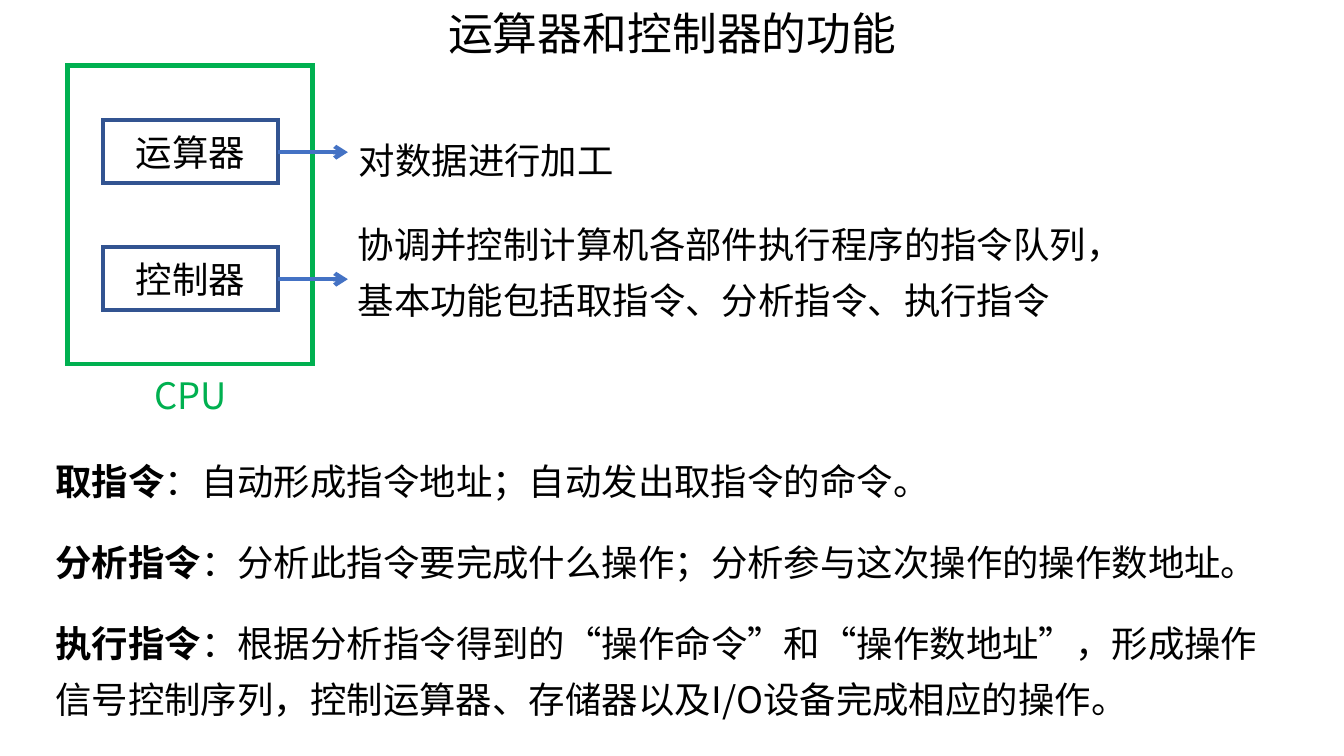
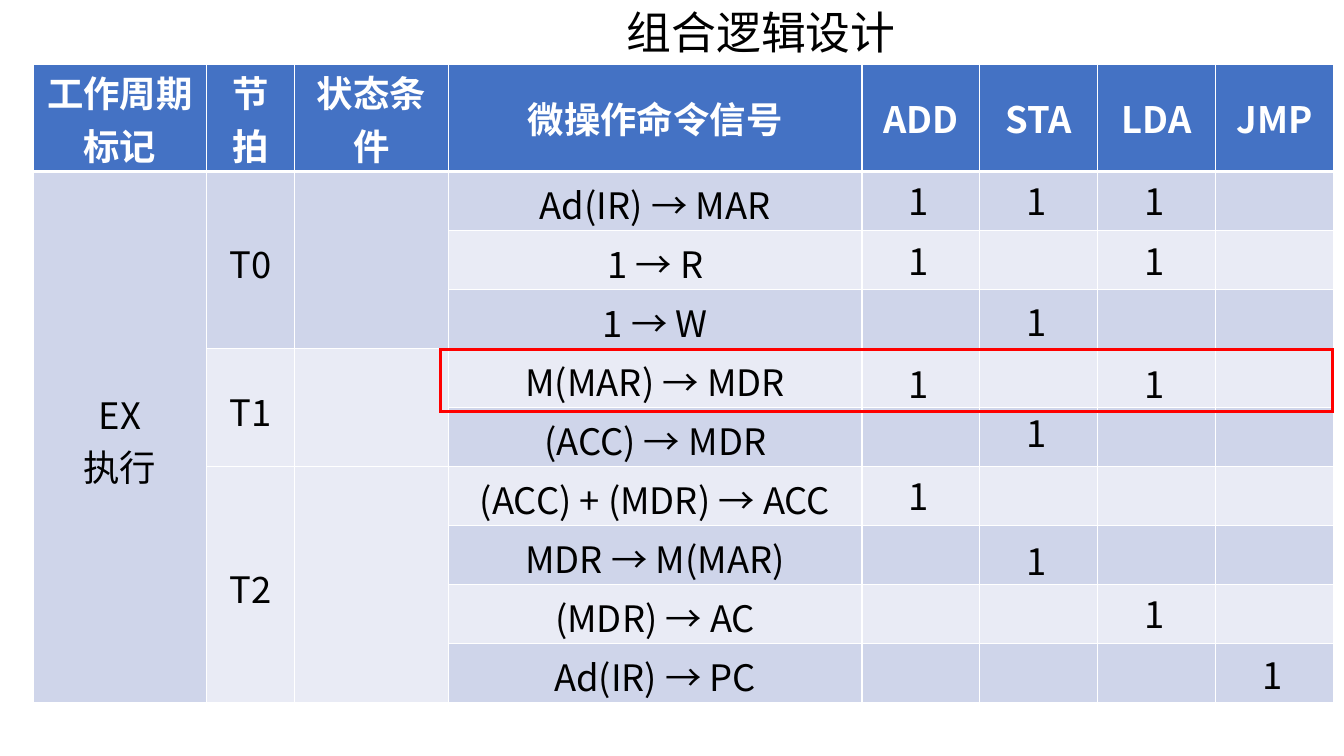
from dataclasses import dataclass
from itertools import accumulate

from lxml import etree
from pptx import Presentation
from pptx.dml.color import RGBColor
from pptx.enum.shapes import MSO_CONNECTOR, MSO_SHAPE
from pptx.enum.text import MSO_ANCHOR, MSO_AUTO_SIZE, PP_ALIGN
from pptx.oxml.ns import qn
from pptx.util import Inches, Length, Pt

LEFT, CENTER = PP_ALIGN.LEFT, PP_ALIGN.CENTER
TOP, MIDDLE = MSO_ANCHOR.TOP, MSO_ANCHOR.MIDDLE
GROW, FIXED = MSO_AUTO_SIZE.SHAPE_TO_FIT_TEXT, MSO_AUTO_SIZE.NONE
RECT, STRAIGHT = MSO_SHAPE.RECTANGLE, MSO_CONNECTOR.STRAIGHT

FONT = "Noto Sans CJK SC"
BLACK, WHITE, RED = "000000", "FFFFFF", "FF0000"
GREEN, NAVY, BLUE = "00B050", "325491", "4472C4"
BANDS = ("E9EBF5", "CFD5EA")
SIZE, LARGE = 26, 32
GRID = 0.1
TITLE_ONLY = 5


@dataclass(frozen=True)
class Area:
    col: float
    row: float
    cols: float
    rows: float

    def lengths(self) -> tuple:
        return tuple(map(cells, (self.col, self.row, self.cols, self.rows)))


@dataclass(frozen=True)
class Label:
    text: str
    area: Area
    color: str = BLACK
    align: int = LEFT
    lead: int = 0
    strong: str = ""


@dataclass(frozen=True)
class Frame:
    area: Area
    color: str
    width: float = 3
    text: str = ""


@dataclass(frozen=True)
class Group:
    col: int
    first: int
    last: int
    text: str = ""


@dataclass(frozen=True)
class Marks:
    row: float
    names: tuple


def cells(count: float) -> Length:
    return Inches(round(count * GRID, 3))


def rgb(code: str) -> RGBColor:
    return RGBColor.from_string(code)


def style(frame, size: float, color: str, align: int, bold: bool = False) -> None:
    for para in frame.paragraphs:
        para.alignment = align
        for run in para.runs:
            font = run.font
            font.size, font.bold, font.name = Pt(size), bold, FONT
            font.color.rgb = rgb(color)
            east = etree.SubElement(run._r.get_or_add_rPr(), qn("a:ea"))
            east.set("typeface", FONT)


def add_title(slide, text: str, area: Area) -> None:
    title = slide.shapes.title
    title.left, title.top, title.width, title.height = area.lengths()
    frame = title.text_frame
    frame.text = text
    frame.word_wrap, frame.auto_size = True, FIXED
    frame.vertical_anchor = TOP
    style(frame, LARGE, BLACK, CENTER)


def add_label(slide, label: Label) -> None:
    frame = slide.shapes.add_textbox(*label.area.lengths()).text_frame
    frame.word_wrap, frame.auto_size = True, GROW
    para = frame.paragraphs[0]
    for part in filter(None, (label.strong, label.text)):
        para.add_run().text = part
    if label.lead:
        para.line_spacing = Pt(label.lead)
    style(frame, SIZE, label.color, label.align)
    if label.strong:
        para.runs[0].font.bold = True


def add_frame(slide, item: Frame) -> None:
    box = slide.shapes.add_shape(RECT, *item.area.lengths())
    box.shadow.inherit = False
    box.fill.background()
    box.line.color.rgb = rgb(item.color)
    box.line.width = Pt(item.width)
    join = etree.SubElement(box.line._get_or_add_ln(), qn("a:miter"))
    join.set("lim", "800000")
    if item.text:
        box.text_frame.text = item.text
        box.text_frame.vertical_anchor = MIDDLE
        style(box.text_frame, SIZE, BLACK, CENTER)


def add_arrow(slide, start: float, end: float, row: float) -> None:
    arrow = slide.shapes.add_connector(
        STRAIGHT, cells(start), cells(row), cells(end), cells(row))
    arrow.line.color.rgb = rgb(BLUE)
    arrow.line.width = Pt(3)
    tail = etree.SubElement(arrow.line._get_or_add_ln(), qn("a:tailEnd"))
    tail.set("type", "arrow")
    etree.SubElement(arrow._element.spPr, qn("a:effectLst"))


def add_edges(cell, top: float, bottom: float) -> None:
    props = cell._tc.get_or_add_tcPr()
    for side, width in zip("LRTB", (1, 1, top, bottom)):
        edge = etree.SubElement(props, qn(f"a:ln{side}"))
        edge.set("w", str(Pt(width)))
        fill = etree.SubElement(edge, qn("a:solidFill"))
        etree.SubElement(fill, qn("a:srgbClr")).set("val", WHITE)


def add_grid(slide, area: Area, widths: tuple, head: float,
             names: tuple, orders: tuple, groups: tuple) -> None:
    count = len(orders)
    table = slide.shapes.add_table(
        count + 1, len(names), *area.lengths()).table
    table.horz_banding = False
    for column, width in zip(table.columns, widths):
        column.width = cells(width)
    for index, row in enumerate(table.rows):
        row.height = cells((area.rows - head) / count if index else head)
    texts = {(0, col): name for col, name in enumerate(names)}
    texts |= {(row, 3): order for row, order in enumerate(orders, 1)}
    texts |= {(group.first, group.col): group.text for group in groups}
    for row in range(count + 1):
        for col in range(len(names)):
            cell = table.cell(row, col)
            add_edges(cell, 3 if row == 1 else 1, 1 if row else 3)
            cell.fill.solid()
            cell.fill.fore_color.rgb = rgb(BANDS[row % 2] if row else BLUE)
            cell.vertical_anchor = MIDDLE
            cell.margin_top = cells(0.5 if row else 0)
            cell.margin_bottom = 0
            cell.text_frame.text = texts.get((row, col), "")
            style(cell.text_frame, SIZE, BLACK if row else WHITE, CENTER, not row)
    for group in groups:
        table.cell(group.first, group.col).merge(
            table.cell(group.last, group.col))


def draw_units(slide) -> None:
    add_title(slide, "运算器和控制器的功能", Area(39.7, 0.1, 54, 6.4))
    frames = (
        Frame(Area(6.7, 6.5, 24.3, 29.6), GREEN),
        Frame(Area(10.2, 11.9, 17.4, 6.3), NAVY, text="运算器"),
        Frame(Area(10.2, 24.5, 17.4, 6.3), NAVY, text="控制器"),
    )
    for item in frames:
        add_frame(slide, item)
    for row in (15.1, 27.7):
        add_arrow(slide, 27.6, 34.5, row)
    labels = (
        Label("对数据进行加工", Area(34.6, 12, 27.9, 6.1), lead=40),
        Label("CPU", Area(12, 36.5, 13.8, 5.4), GREEN, CENTER),
        Label("协调并控制计算机各部件执行程序的指令队列，基本功能包括取指令、分析指令、执行指令",
              Area(34.5, 20.3, 75, 11.7), lead=40),
    )
    steps = (
        ("取指令", "：自动形成指令地址；自动发出取指令的命令。", 6.1),
        ("分析指令", "：分析此指令要完成什么操作；分析参与这次操作的操作数地址。", 6.1),
        ("执行指令", "：根据分析指令得到的“操作命令”和“操作数地址”，形成操作信号控制序列，"
         "控制运算器、存储器以及I/O设备完成相应的操作。", 11.7),
    )
    for label in labels:
        add_label(slide, label)
    for index, (strong, text, rows) in enumerate(steps):
        area = Area(4.5, 43.8 + 8.05 * index, 124.4, rows)
        add_label(slide, Label(text, area, lead=40, strong=strong))


def draw_logic(slide) -> None:
    add_title(slide, "组合逻辑设计", Area(43.7, 0, 63.6, 6.4))
    area = Area(3.3, 6.4, 129, 63.3)
    widths = (17.2, 8.7, 15.3, 41) + (11.7,) * 4
    names = ("工作周期标记", "节拍", "状态条件", "微操作命令信号",
             "ADD", "STA", "LDA", "JMP")
    orders = ("Ad(IR) → MAR", "1 → R", "1 → W", "M(MAR) → MDR", "(ACC) → MDR",
              "(ACC) + (MDR) → ACC", "MDR → M(MAR)", "(MDR) → AC", "Ad(IR) → PC")
    beats = (("T0", 1, 3), ("T1", 4, 5), ("T2", 6, 9))
    groups = (Group(0, 1, 9, "EX\n执行"),)
    for text, first, last in beats:
        groups += (Group(1, first, last, text), Group(2, first, last))
    add_grid(slide, area, widths, 10.6, names, orders, groups)
    marks = (
        Marks(17.3, ("ADD", "STA", "LDA")),
        Marks(23.2, ("ADD", "LDA")),
        Marks(29.3, ("STA",)),
        Marks(35.4, ("ADD", "LDA")),
        Marks(40.3, ("STA",)),
        Marks(46.5, ("ADD",)),
        Marks(53, ("STA",)),
        Marks(58.3, ("LDA",)),
        Marks(64.3, ("JMP",)),
    )
    ends = dict(zip(names, accumulate(widths, initial=area.col)))
    for mark in marks:
        for name in mark.names:
            spot = Area(ends[name] + 2, mark.row, 7.2, 5.4)
            add_label(slide, Label("1", spot, align=CENTER))
    add_frame(slide, Frame(Area(43.7, 34.7, 88.5, 6.1), RED, 2.25))


def main() -> None:
    deck = Presentation()
    deck.slide_width, deck.slide_height = Inches(13.33), Inches(7.5)
    for draw in (draw_units, draw_logic):
        draw(deck.slides.add_slide(deck.slide_layouts[TITLE_ONLY]))
    deck.save("out.pptx")


if __name__ == "__main__":
    main()
